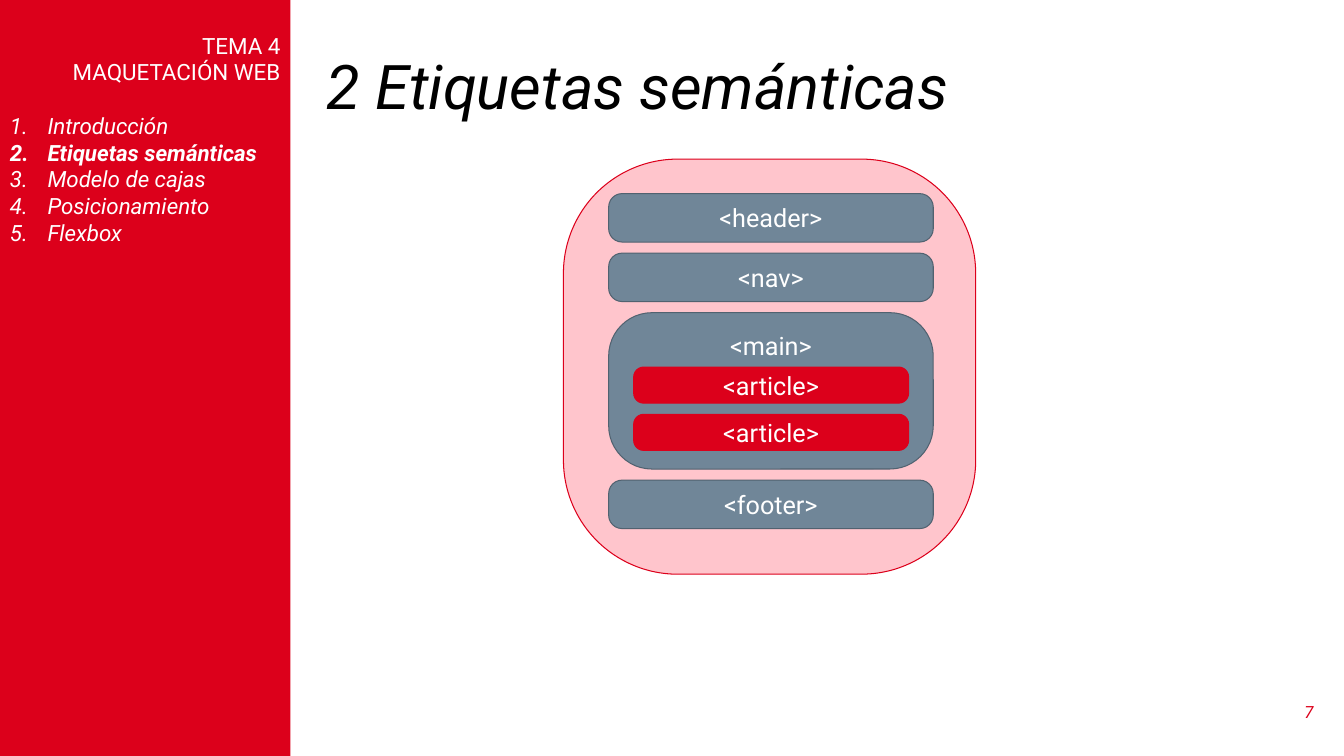
from dataclasses import dataclass

from lxml.etree import SubElement
from pptx import Presentation
from pptx.dml.color import RGBColor
from pptx.enum.shapes import MSO_SHAPE
from pptx.enum.text import MSO_ANCHOR, PP_ALIGN
from pptx.oxml.ns import qn
from pptx.util import Cm, Pt


@dataclass(frozen=True)
class Theme:
    """Colours, font and type sizes of the slide."""

    font: str = "Roboto"
    red: str = "DC001B"
    pink: str = "FFC5CC"
    slate: str = "708698"
    slate_edge: str = "516270"
    white: str = "FFFFFF"
    black: str = "000000"
    title_size: float = 44
    tag_size: float = 18
    menu_size: float = 16
    number_size: float = 12
    menu_gap: float = 18.8
    line_width: float = 0.75
    corner: float = 0.277


class SlideBuilder:
    """Draws styled elements on the current slide."""

    def __init__(self, page, theme):
        """Keep the page and its theme."""
        self.page = page
        self.theme = theme

    def style(self, para, size, color, italic=False, bold=False):
        """Set the font of a whole paragraph."""
        font = para.font
        font.name = self.theme.font
        font.size = Pt(size)
        font.italic = italic
        font.bold = bold
        font.color.rgb = RGBColor.from_string(color)

    def label(self, text, place, size, color, align=PP_ALIGN.LEFT, spacing=1.0):
        """Add one line of italic text, centred vertically."""
        box = self.page.shapes.add_textbox(*map(Cm, place))
        frame = box.text_frame
        frame.word_wrap = True
        frame.vertical_anchor = MSO_ANCHOR.MIDDLE
        para = frame.paragraphs[0]
        para.text = text
        para.alignment = align
        para.line_spacing = spacing
        self.style(para, size, color, italic=True)

    def panel(self, kind, place, fill, edge=None):
        """Add a filled shape, outlined when an edge colour is given."""
        shape = self.page.shapes.add_shape(kind, *map(Cm, place))
        shape.shadow.inherit = False
        shape.fill.solid()
        shape.fill.fore_color.rgb = RGBColor.from_string(fill)
        if edge:
            shape.line.color.rgb = RGBColor.from_string(edge)
            shape.line.width = Pt(self.theme.line_width)
        else:
            shape.line.fill.background()
        shape.text_frame.vertical_anchor = MSO_ANCHOR.TOP
        return shape

    def block(self, place, fill, edge, tag="", padded=True):
        """Add a rounded block with an optional tag name."""
        shape = self.panel(MSO_SHAPE.ROUNDED_RECTANGLE, place, fill, edge)
        shape.adjustments[0] = self.theme.corner
        if tag:
            frame = shape.text_frame
            if not padded:
                frame.margin_left = frame.margin_right = 0
                frame.margin_top = frame.margin_bottom = 0
            para = frame.paragraphs[0]
            para.text = tag
            para.alignment = PP_ALIGN.CENTER
            self.style(para, self.theme.tag_size, self.theme.white)

    def stack(self, left, top, width, gap, rows, fill, edge, padded=True):
        """Pile up tagged blocks with an equal gap."""
        for tag, height in rows:
            self.block((left, top, width, height), fill, edge, tag, padded)
            top += height + gap

    def sidebar(self, place, heading, topics, current):
        """Add the side panel with its heading and numbered topics."""
        theme = self.theme
        frame = self.panel(MSO_SHAPE.RECTANGLE, place, theme.red).text_frame
        frame.margin_top = Cm(0.8)
        for index, text in enumerate(heading + topics):
            para = frame.add_paragraph() if index else frame.paragraphs[0]
            para.text = text
            is_topic = index >= len(heading)
            if is_topic:
                para.alignment = PP_ALIGN.LEFT
                self.number(para)
            else:
                para.alignment = PP_ALIGN.RIGHT
            if index == len(heading):
                para.space_before = Pt(theme.menu_gap)
            self.style(para, theme.menu_size, theme.white, is_topic, text == current)

    def number(self, para):
        """Turn a paragraph into a numbered item with a hanging indent."""
        properties = para._p.get_or_add_pPr()
        properties.set("marL", str(Cm(0.95)))
        properties.set("indent", str(Cm(-0.95)))
        SubElement(properties, qn("a:buFont")).set("typeface", self.theme.font)
        SubElement(properties, qn("a:buAutoNum")).set("type", "arabicPeriod")


def main():
    """Build the slide and save it."""
    deck = Presentation()
    deck.slide_width, deck.slide_height = Cm(33.87), Cm(19.05)
    theme = Theme()
    builder = SlideBuilder(deck.slides.add_slide(deck.slide_layouts[6]), theme)

    builder.label("2 Etiquetas semánticas", (7.98, 1.27, 25.37, 1.98),
                  theme.title_size, theme.black, spacing=0.9)
    builder.sidebar(
        (0, 0, 7.32, 19.05),
        ["TEMA 4", "MAQUETACIÓN WEB"],
        ["Introducción", "Etiquetas semánticas", "Modelo de cajas",
         "Posicionamiento", "Flexbox"],
        current="Etiquetas semánticas",
    )
    builder.block((14.2, 4.01, 10.39, 10.46), theme.pink, theme.red)
    builder.label("7", (32.05, 17.42, 1.3, 1.02), theme.number_size,
                  theme.red, PP_ALIGN.RIGHT)

    sections = [("<header>", 1.22), ("<nav>", 1.22), ("<main>", 3.94), ("<footer>", 1.22)]
    builder.stack(15.34, 4.88, 8.18, 0.28, sections, theme.slate, theme.slate_edge)
    builder.stack(15.97, 9.25, 6.93, 0.28, [("<article>", 0.91)] * 2,
                  theme.red, theme.red, padded=False)
    deck.save("out.pptx")


if __name__ == "__main__":
    main()
